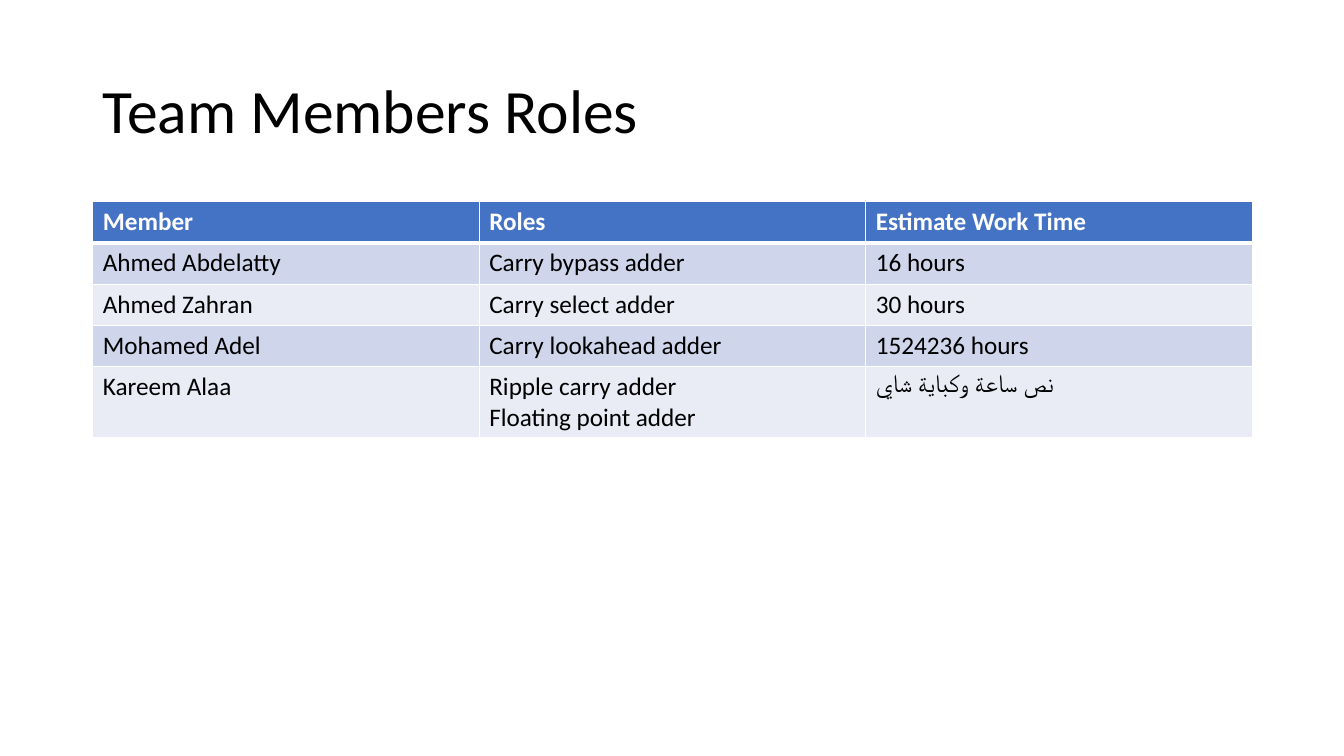
from lxml.etree import SubElement
from pptx import Presentation
from pptx.dml.color import RGBColor
from pptx.enum.text import MSO_ANCHOR
from pptx.oxml.ns import qn
from pptx.util import Inches, Pt

FONT = "Calibri"
WHITE, BLACK, HEADER_BLUE = "FFFFFF", "000000", "4472C4"
BANDS = ("E9EBF5", "CFD5EA")
TITLE_BOX = (0.92, 0.4, 11.5, 1.45)
TABLE_BOX = (0.92, 2, 11.5, 2.32)
ROW_HEIGHT = 0.41
ROLES = [
    ("Member", "Roles", "Estimate Work Time"),
    ("Ahmed Abdelatty", "Carry bypass adder", "16 hours"),
    ("Ahmed Zahran", "Carry select adder", "30 hours"),
    ("Mohamed Adel", "Carry lookahead adder", "1524236 hours"),
    ("Kareem Alaa", "Ripple carry adder\nFloating point adder", "نص ساعة وكباية شاي"),
]


def color(value):
    return RGBColor.from_string(value)


def format_text(text_frame, text, text_color, **formats):
    text_frame.text = text
    for paragraph in text_frame.paragraphs:
        for run in paragraph.runs:
            for name, value in {"name": FONT, **formats}.items():
                setattr(run.font, name, value)
            run.font.color.rgb = color(text_color)


def add_borders(cell, widths):
    properties = cell._tc.get_or_add_tcPr()
    for side, width in widths.items():
        line = SubElement(properties, qn(f"a:ln{side}"), w=str(Pt(width)))
        fill = SubElement(line, qn("a:solidFill"))
        SubElement(fill, qn("a:srgbClr"), val=WHITE)


def add_title(slide, box, text):
    shape = slide.shapes.add_textbox(*map(Inches, box))
    text_frame = shape.text_frame
    for name, value in {"word_wrap": True, "vertical_anchor": MSO_ANCHOR.MIDDLE}.items():
        setattr(text_frame, name, value)
    format_text(text_frame, text, BLACK, size=Pt(44))
    text_frame.paragraphs[0].line_spacing = 0.9


def add_roles_table(slide, box, rows):
    frame = slide.shapes.add_table(len(rows), len(rows[0]), *map(Inches, box))
    table = frame.table
    for row_index, values in enumerate(rows):
        table.rows[row_index].height = Inches(ROW_HEIGHT)
        is_header = row_index == 0
        fill_color = HEADER_BLUE if is_header else BANDS[row_index % 2]
        text_color = WHITE if is_header else BLACK
        widths = {"L": 1, "R": 1, "T": 3 if row_index == 1 else 1, "B": 3 if is_header else 1}
        for column_index, value in enumerate(values):
            cell = table.cell(row_index, column_index)
            format_text(cell.text_frame, value, text_color, size=Pt(18), bold=is_header)
            add_borders(cell, widths)
            cell.fill.solid()
            cell.fill.fore_color.rgb = color(fill_color)
    frame.height = Inches(box[3])


def main():
    presentation = Presentation()
    presentation.slide_width = Inches(13.33)
    presentation.slide_height = Inches(7.5)
    slide = presentation.slides.add_slide(presentation.slide_layouts[6])
    add_title(slide, TITLE_BOX, "Team Members Roles")
    add_roles_table(slide, TABLE_BOX, ROLES)
    presentation.save("out.pptx")


if __name__ == "__main__":
    main()
